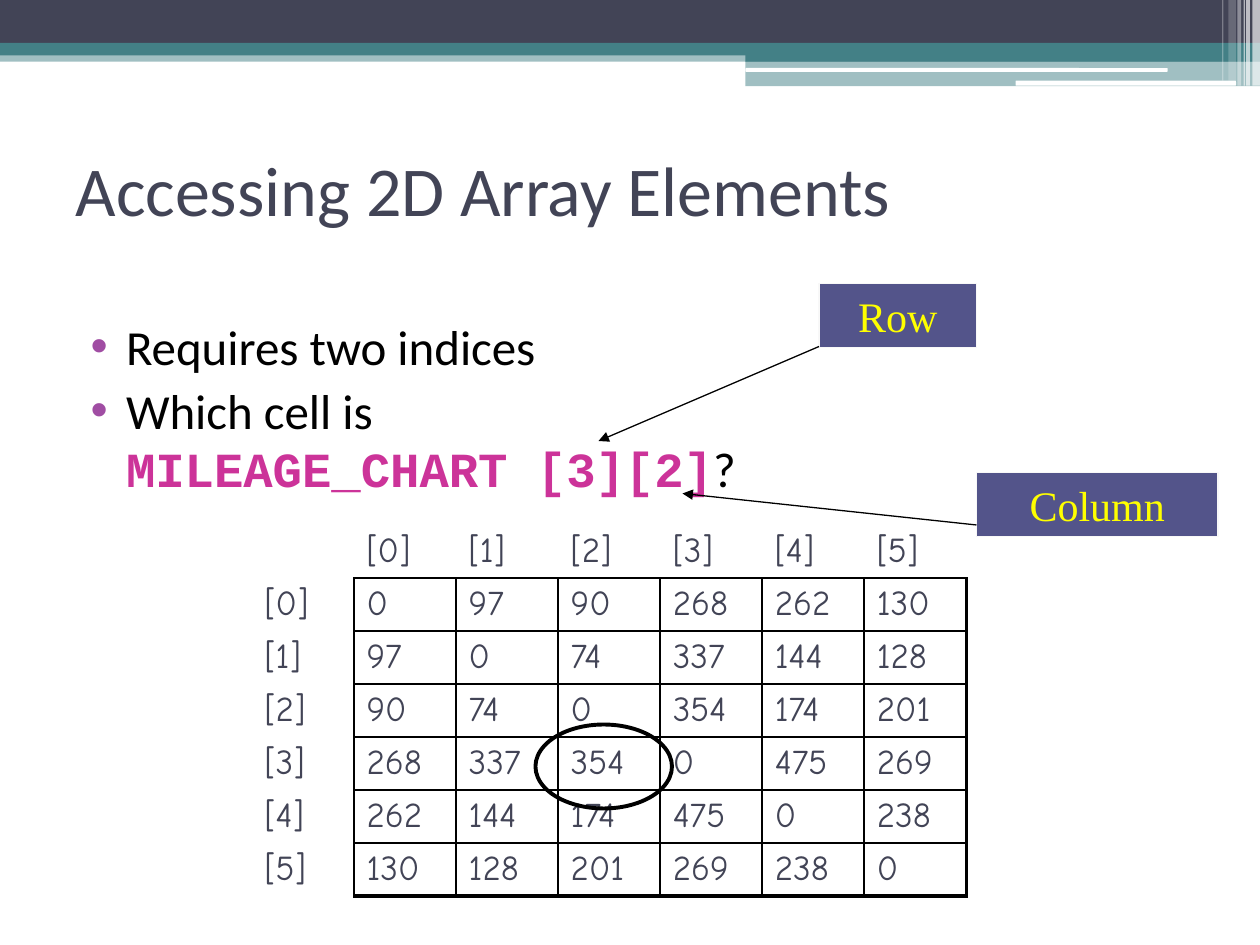
from pptx import Presentation
from pptx.dml.color import RGBColor
from pptx.enum.shapes import MSO_CONNECTOR, MSO_SHAPE
from pptx.enum.text import MSO_ANCHOR, MSO_AUTO_SIZE, PP_ALIGN
from pptx.oxml.ns import qn
from pptx.util import Inches, Pt
from lxml.etree import SubElement

# The slide is a grid of 120 columns by 90 rows, twelve to the inch.
COLS, ROWS, UNIT = 120, 90, Inches(1) / 12

WHITE = RGBColor(0xFF, 0xFF, 0xFF)
BLACK = RGBColor(0, 0, 0)
SLATE = RGBColor(0x42, 0x44, 0x56)
TEAL = RGBColor(0x43, 0x80, 0x86)
PURPLE = RGBColor(0xA0, 0x4D, 0xA3)
PINK = RGBColor(0xCC, 0x33, 0x99)
INDIGO = RGBColor(0x53, 0x54, 0x8A)
PALE = RGBColor(0xF8, 0xF8, 0xF8)
YELLOW = RGBColor(0xFF, 0xFF, 0)

RECT, ROUND, OVAL = MSO_SHAPE.RECTANGLE, MSO_SHAPE.ROUNDED_RECTANGLE, MSO_SHAPE.OVAL

# Shape, column, row, width, height, colour, opacity in percent
BANDS = [
    (RECT, 0, 4.8, COLS, 1.08, TEAL, 50),
    (RECT, 0, 0, COLS, 4.08, SLATE, 100),
    (RECT, 0, 4.08, COLS, 1.2, TEAL, 100),
    (RECT, 71, 4.68, 49, 1.2, TEAL, 100),
    (RECT, 71, 5.8, 49, 2.4, TEAL, 50),
    (ROUND, 71, 6.48, 40.2, 0.36, WHITE, 100),
    (ROUND, 96.72, 7.68, 21, 0.48, WHITE, 100),
]
# Column, width, height, opacity in percent
STRIPES = [
    (119.28, 0.72, 8.16, 65), (118.68, 0.36, 8.16, 65), (118.44, 0.12, 8.16, 60),
    (117.84, 0.36, 8.16, 40), (117, 0.72, 7.68, 20), (116.4, 0.12, 7.68, 30),
]
MILES = [
    [0, 97, 90, 268, 262, 130],
    [97, 0, 74, 337, 144, 128],
    [90, 74, 0, 354, 174, 201],
    [268, 337, 354, 0, 475, 269],
    [262, 144, 174, 475, 0, 238],
    [130, 128, 201, 269, 238, 0],
]


def grid(*spots):
    """Turn grid steps into slide lengths."""
    return [round(spot * UNIT) for spot in spots]


def add_run(para, text, size, font, tint, bold=False):
    """Add one styled run to a paragraph."""
    run = para.add_run()
    run.text = text
    run.font.size, run.font.name, run.font.bold = Pt(size), font, bold
    run.font.color.rgb = tint


def add_block(shapes, kind, box, fill=None, line=None, width=1):
    """Add a flat shape with an optional fill and outline."""
    shape = shapes.add_shape(kind, *grid(*box))
    shape.shadow.inherit = False
    if fill is None:
        shape.fill.background()
    else:
        shape.fill.solid()
        shape.fill.fore_color.rgb = fill
    if line is None:
        shape.line.fill.background()
    else:
        shape.line.color.rgb = line
        shape.line.width = Pt(width)
    return shape


def add_band(shapes, kind, box, tint, share):
    """Add one part of the top border, see-through below 100 percent."""
    band = add_block(shapes, kind, box, tint)
    if share < 100:
        color = band.fill._xPr.find(qn("a:solidFill"))[0]
        SubElement(color, qn("a:alpha"), val=str(share * 1000))


def add_arrow(shapes, start, end):
    """Add a thin line with a triangle at its end."""
    arrow = shapes.add_connector(MSO_CONNECTOR.STRAIGHT, *grid(*start, *end))
    arrow.line.color.rgb = BLACK
    arrow.line.width = Pt(0.75)
    SubElement(arrow.line._get_or_add_ln(), qn("a:tailEnd"), type="triangle")
    SubElement(arrow._element.spPr, qn("a:effectLst"))


def add_label(slide, text, box, start, end):
    """Group a labelled box with the arrow that leaves it."""
    shapes = slide.shapes.add_group_shape().shapes
    frame = add_block(shapes, RECT, box, INDIGO, PALE, 0.75).text_frame
    frame.vertical_anchor = MSO_ANCHOR.MIDDLE
    para = frame.paragraphs[0]
    para.alignment = PP_ALIGN.CENTER
    add_run(para, text, 24, "Times New Roman", YELLOW)
    add_arrow(shapes, start, end)


def set_holder(holder, box, anchor):
    """Move a placeholder and return its text frame."""
    holder.left, holder.top, holder.width, holder.height = grid(*box)
    frame = holder.text_frame
    frame.auto_size = MSO_AUTO_SIZE.NONE
    frame.vertical_anchor = anchor
    return frame


def set_bullet(para):
    """Give a paragraph its hanging bullet and spacing."""
    para.space_before = Pt(3)
    props = para._p.get_or_add_pPr()
    props.set("marL", str(Inches(0.4)))
    props.set("indent", str(Inches(-0.28)))
    color = SubElement(props, qn("a:buClr"))
    SubElement(color, qn("a:srgbClr"), val=str(PURPLE))
    SubElement(props, qn("a:buFont"), typeface="Arial")
    SubElement(props, qn("a:buChar"), char="•")


def set_edge(cell, side, width):
    """Draw one cell border, or clear it when the width is zero."""
    edge = SubElement(cell._tc.get_or_add_tcPr(), qn("a:ln" + side), w=str(Pt(width)))
    if width:
        fill = SubElement(edge, qn("a:solidFill"))
        SubElement(fill, qn("a:srgbClr"), val=str(BLACK))
    else:
        SubElement(edge, qn("a:noFill"))


def add_chart(slide, data, spot, step, rise):
    """Add the mileage table with its index labels."""
    last = len(data)
    heads = [f"[{i}]" for i in range(last)]
    rows = [[""] + heads] + [[head] + row for head, row in zip(heads, data)]
    size = step * (last + 1), rise * (last + 1)
    table = slide.shapes.add_table(last + 1, last + 1, *grid(*spot, *size)).table
    table.first_row = table.horz_banding = False
    for col in table.columns:
        col.width = grid(step)[0]
    for r, row in enumerate(rows):
        table.rows[r].height = grid(rise)[0]
        for c, text in enumerate(row):
            cell = table.cell(r, c)
            cell.vertical_anchor = MSO_ANCHOR.MIDDLE
            if text != "":
                add_run(cell.text_frame.paragraphs[0], str(text), 20, "Comic Neue", SLATE)
            inner = int(r > 0 and c > 0)
            set_edge(cell, "L", inner)
            set_edge(cell, "R", 2.25 if inner and c == last else int(r > 0))
            set_edge(cell, "T", inner)
            set_edge(cell, "B", 2.25 if inner and r == last else int(c > 0))
            cell.fill.background()


def main():
    """Build and save the slide."""
    deck = Presentation()
    deck.slide_width, deck.slide_height = grid(COLS, ROWS)
    slide = deck.slides.add_slide(deck.slide_layouts[1])

    for kind, *box, tint, share in BANDS:
        add_band(slide.shapes, kind, box, tint, share)
    for left, width, height, share in STRIPES:
        add_band(slide.shapes, RECT, (left, 0, width, height), WHITE, share)

    title = set_holder(slide.shapes.title, (6, 11, 108, 14), MSO_ANCHOR.MIDDLE)
    title.paragraphs[0].alignment = PP_ALIGN.LEFT
    add_run(title.paragraphs[0], "Accessing 2D Array Elements", 40, "Calibri", SLATE)

    body = set_holder(slide.placeholders[1], (6, 29.5, 108, 56.75), MSO_ANCHOR.TOP)
    first, second = body.paragraphs[0], body.add_paragraph()
    set_bullet(first)
    set_bullet(second)
    add_run(first, "Requires two indices", 28, "Calibri", BLACK)
    add_run(second, "Which cell is ", 28, "Calibri", BLACK)
    second.add_line_break()
    add_run(second, "MILEAGE_CHART [3][2]", 28, "Courier New", PINK, True)
    add_run(second, "?", 28, "Calibri", BLACK)

    add_chart(slide, MILES, (24, 50), 9.72, 5.05)
    add_block(slide.shapes, OVAL, (51, 69, 13, 8), line=BLACK, width=2.25)
    add_label(slide, "Row", (78, 27, 15, 6.1), (78, 33), (57, 42))
    add_label(slide, "Column", (93, 45, 23, 6.1), (93, 50), (65, 47))
    deck.save("out.pptx")


main()
